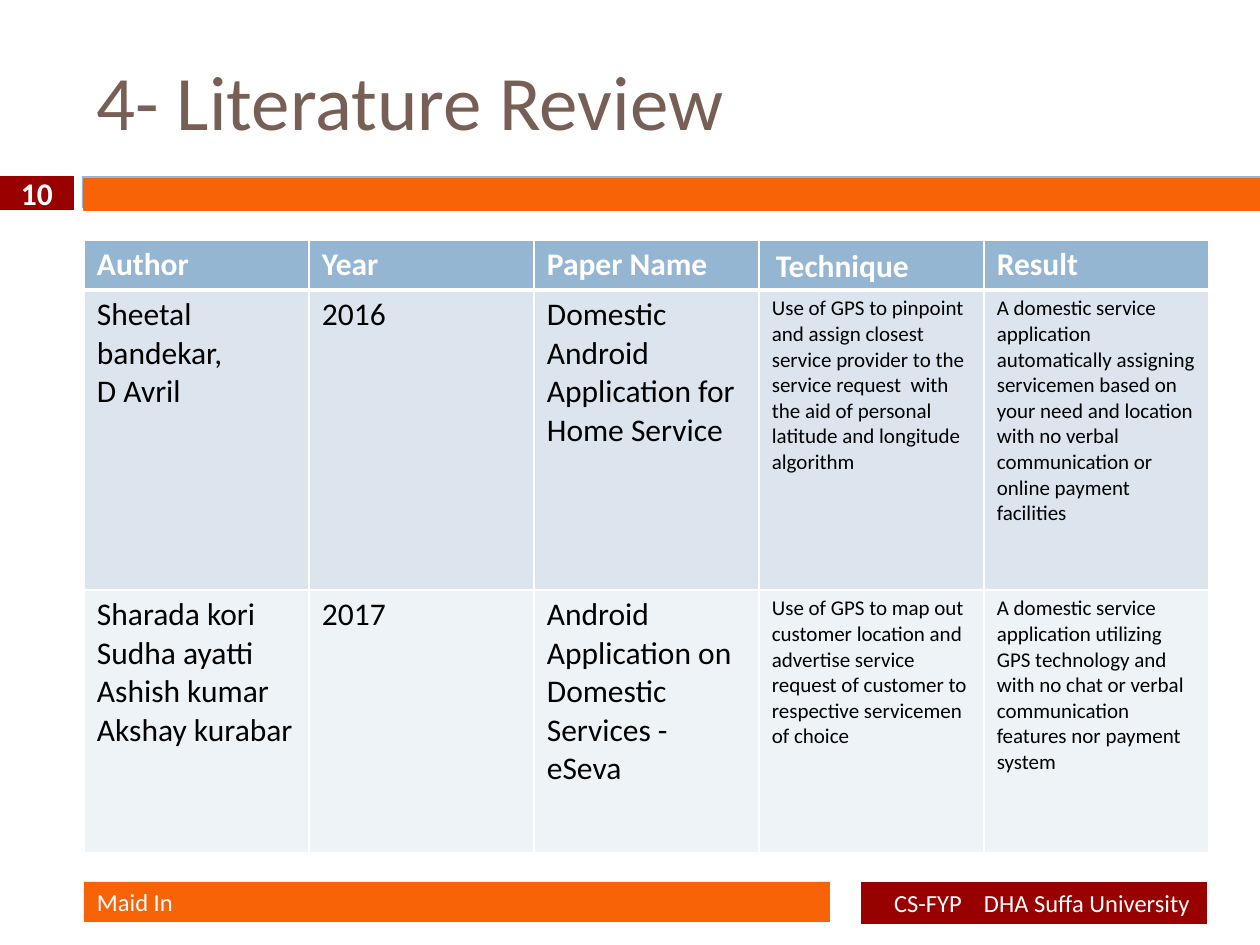
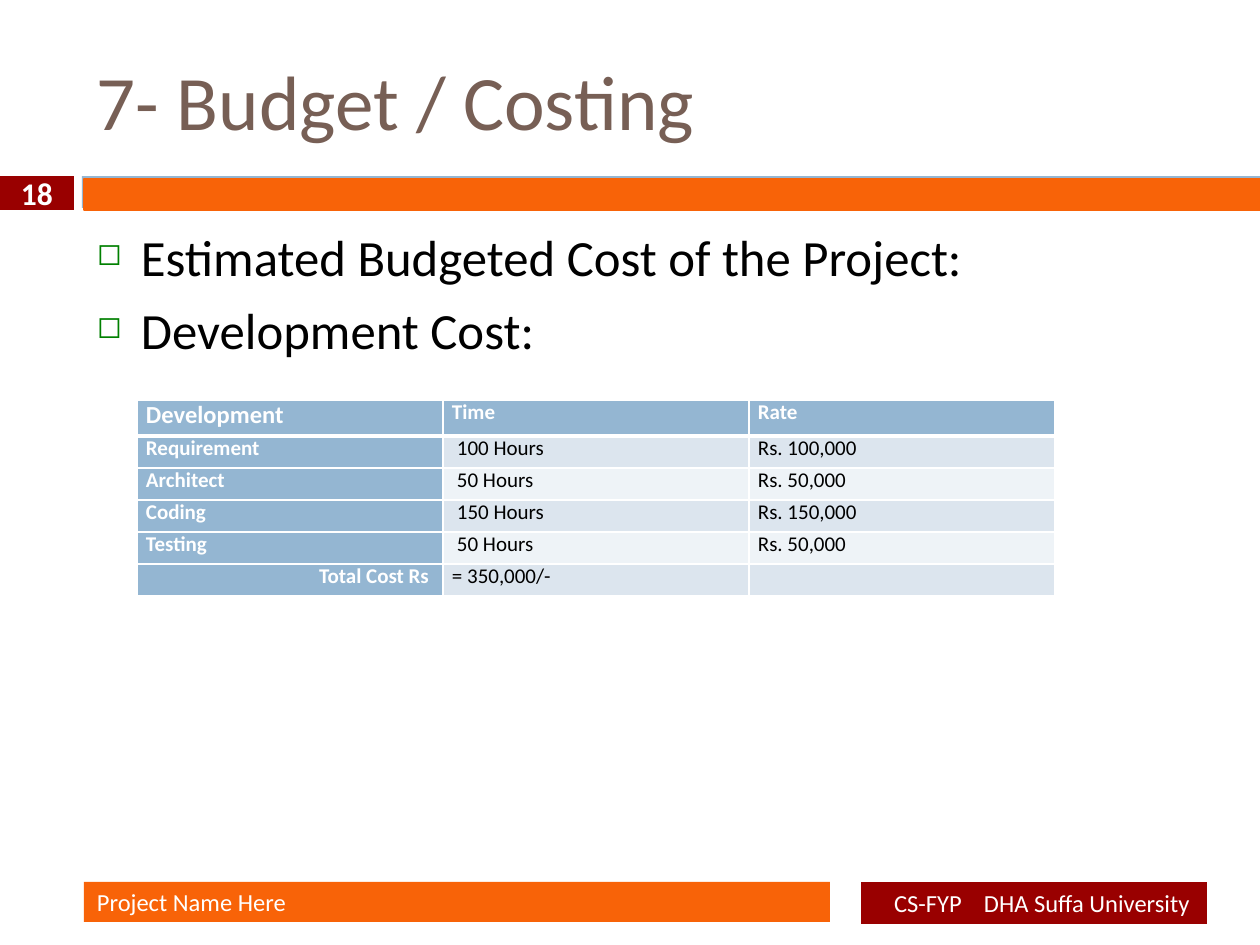
from lxml import etree
from pptx import Presentation
from pptx.dml.color import RGBColor
from pptx.enum.shapes import MSO_SHAPE
from pptx.enum.text import MSO_ANCHOR, PP_ALIGN
from pptx.oxml.ns import qn
from pptx.util import Emu, Pt

RECT = MSO_SHAPE.RECTANGLE
TOP, MIDDLE = MSO_ANCHOR.TOP, MSO_ANCHOR.MIDDLE
LEFT, CENTER, RIGHT = PP_ALIGN.LEFT, PP_ALIGN.CENTER, PP_ALIGN.RIGHT

FONT = "Calibri"
COLORS = {
    "white": "FFFFFF", "black": "000000", "title": "775F55",
    "orange": "F86308", "red": "990000", "blue": "94B6D2",
    "row_dark": "DCE5EE", "row_light": "EEF3F7", "bullet": "008000",
}
MARGINS = (13, 6, 13, 6)  # left, top, right, bottom


def px(n):
    return Emu(round(n * 914400 / 126))


def rgb(name):
    return RGBColor.from_string(COLORS[name])


def sub(parent, tag, **attrs):
    return etree.SubElement(parent, qn(tag), {k: str(v) for k, v in attrs.items()})


def write(tf, text, size=18, color="black", bold=False, align=LEFT,
          bullet=None, before=0, tab=None):
    """Write one paragraph per line of text."""
    for i, line in enumerate(text.split("\n")):
        p = tf.add_paragraph() if i else tf.paragraphs[0]
        p.alignment = align
        pPr = p._p.get_or_add_pPr()
        if bullet:
            pPr.set("marL", str(px(44)))
            pPr.set("indent", str(-px(44)))
            sub(sub(pPr, "a:buClr"), "a:srgbClr", val=COLORS["bullet"])
            sub(pPr, "a:buSzPct", val=60000)
            sub(pPr, "a:buChar", char=bullet)
        if tab:
            sub(sub(pPr, "a:tabLst"), "a:tab", pos=px(tab), algn="l")
        if i and before:
            p.space_before = Pt(before)
        if not line:
            sub(p._p, "a:endParaRPr", sz=size * 100)
            continue
        r = p.add_run()
        r.text = line
        r.font.name, r.font.size, r.font.bold = FONT, Pt(size), bold
        r.font.color.rgb = rgb(color)


def set_margins(box, margins):
    (box.margin_left, box.margin_top,
     box.margin_right, box.margin_bottom) = map(px, margins)


class Deck:
    def __init__(self):
        self.prs = Presentation()
        self.prs.slide_width, self.prs.slide_height = px(1260), px(945)
        self.s = None

    def rect(self, x, y, w, h, fill, text=None, line=None, margins=MARGINS, **fmt):
        sp = self.s.shapes.add_shape(RECT, px(x), px(y), px(w), px(h))
        sp.shadow.inherit = False
        sp.fill.solid()
        sp.fill.fore_color.rgb = rgb(fill)
        if line:
            sp.line.color.rgb = rgb(fill)
            sp.line.width = Pt(line)
        else:
            sp.line.fill.background()
        if text:
            tf = sp.text_frame
            tf.word_wrap, tf.vertical_anchor = True, MIDDLE
            set_margins(tf, margins)
            write(tf, text, color="white", **fmt)

    def text(self, x, y, w, h, text, anchor=TOP, **fmt):
        tf = self.s.shapes.add_textbox(px(x), px(y), px(w), px(h)).text_frame
        tf.word_wrap, tf.vertical_anchor = True, anchor
        set_margins(tf, MARGINS)
        write(tf, text, **fmt)

    def cell(self, cell, text, fill, margins, top=1, bottom=1, **fmt):
        cell.fill.solid()
        cell.fill.fore_color.rgb = rgb(fill)
        set_margins(cell, margins)
        tcPr = cell._tc.get_or_add_tcPr()
        widths = {"a:lnL": 1, "a:lnR": 1, "a:lnT": top, "a:lnB": bottom}
        for i, (tag, width) in enumerate(widths.items()):
            ln = sub(tcPr, tag, w=Pt(width))
            sub(sub(ln, "a:solidFill"), "a:srgbClr", val=COLORS["white"])
            tcPr.insert(i, ln)
        write(cell.text_frame, text, **fmt)

    def table(self, x, y, col_width, heights, rows, margins, sizes,
              head_col=False, special=None):
        """sizes gives the text size per column; special overrides single cells."""
        n = len(rows[0])
        tbl = self.s.shapes.add_table(len(rows), n, px(x), px(y),
                                      px(col_width * n), px(sum(heights))).table
        for col in tbl.columns:
            col.width = px(col_width)
        for i, (values, height) in enumerate(zip(rows, heights)):
            tbl.rows[i].height = px(height)
            for j, value in enumerate(values):
                head = i == 0 or (head_col and j == 0)
                band = "row_dark" if i % 2 else "row_light"
                fmt = dict(fill="blue" if head else band, margins=margins,
                           size=sizes[j], bold=head,
                           color="white" if head else "black",
                           top=3 if i == 1 else 1, bottom=3 if i == 0 else 1)
                fmt.update((special or {}).get((i, j), {}))
                self.cell(tbl.cell(i, j), value, **fmt)

    def slide(self, title, number, project):
        """Start a slide with its title, band and footer."""
        self.s = self.prs.slides.add_slide(self.prs.slide_layouts[6])
        self.rect(82, 176, 1178, 32, "blue")
        self.rect(84, 179, 1176, 31, "orange", line=1.5)
        self.rect(0, 176, 74, 34, "red", number, bold=True, align=CENTER)
        self.text(84, 32, 1050, 136, title, anchor=MIDDLE, size=44, color="title")
        self.rect(84, 882, 746, 40, "orange", project, size=14)
        self.rect(861, 882, 346, 42, "red", "CS-FYP\tDHA Suffa University",
                  size=14, tab=90, margins=(33, 6, 6, 6))


def main():
    d = Deck()

    # Literature review
    d.slide("4- Literature Review", "10", "Maid In")
    papers = [
        ("Author", "Year", "Paper Name", "Technique", "Result"),
        ("Sheetal bandekar,\nD Avril", "2016",
         "Domestic Android Application for Home Service",
         "Use of GPS to pinpoint and assign closest service provider to the "
         "service request  with the aid of personal latitude and longitude algorithm",
         "A domestic service application automatically assigning servicemen based on "
         "your need and location with no verbal communication or online payment "
         "facilities"),
        ("Sharada kori\nSudha ayatti\nAshish kumar\nAkshay kurabar", "2017",
         "Android Application on Domestic Services - eSeva",
         "Use of GPS to map out customer location and advertise service request of "
         "customer to respective servicemen of choice",
         "A domestic service application utilizing GPS technology and with no chat or "
         "verbal communication features nor payment system"),
    ]
    d.table(84, 240, 225, (50, 300, 263), papers, MARGINS, (18, 18, 18, 12, 12),
            special={(0, 3): {"size": 18, "margins": (17, 8, 0, 0)},
                     (0, 4): {"size": 18}})

    # Budget
    d.slide("7- Budget / Costing", "18", "Project Name Here")
    d.text(84, 220, 1124, 620,
           "Estimated Budgeted Cost of the Project:\nDevelopment Cost:",
           size=29, bullet="◻", before=7)
    costs = [
        ("Development", "Time", "Rate"),
        ("Requirement", "100 Hours", "Rs. 100,000"),
        ("Architect", "50 Hours", "Rs. 50,000"),
        ("Coding", "150 Hours", "Rs. 150,000"),
        ("Testing", "50 Hours", "Rs. 50,000"),
        ("Total Cost Rs", "= 350,000/-", ""),
    ]
    special = {(i, 1): {"margins": (14, 0, 9, 0)} for i in range(1, 5)}
    special[0, 0] = {"size": 14}
    special[5, 0] = {"align": RIGHT, "margins": (9, 0, 14, 0)}
    d.table(137, 400, 306, [36] + [32] * 5, costs, (9, 0, 9, 0), (12, 12, 12),
            head_col=True, special=special)

    d.prs.save("out.pptx")


if __name__ == "__main__":
    main()
